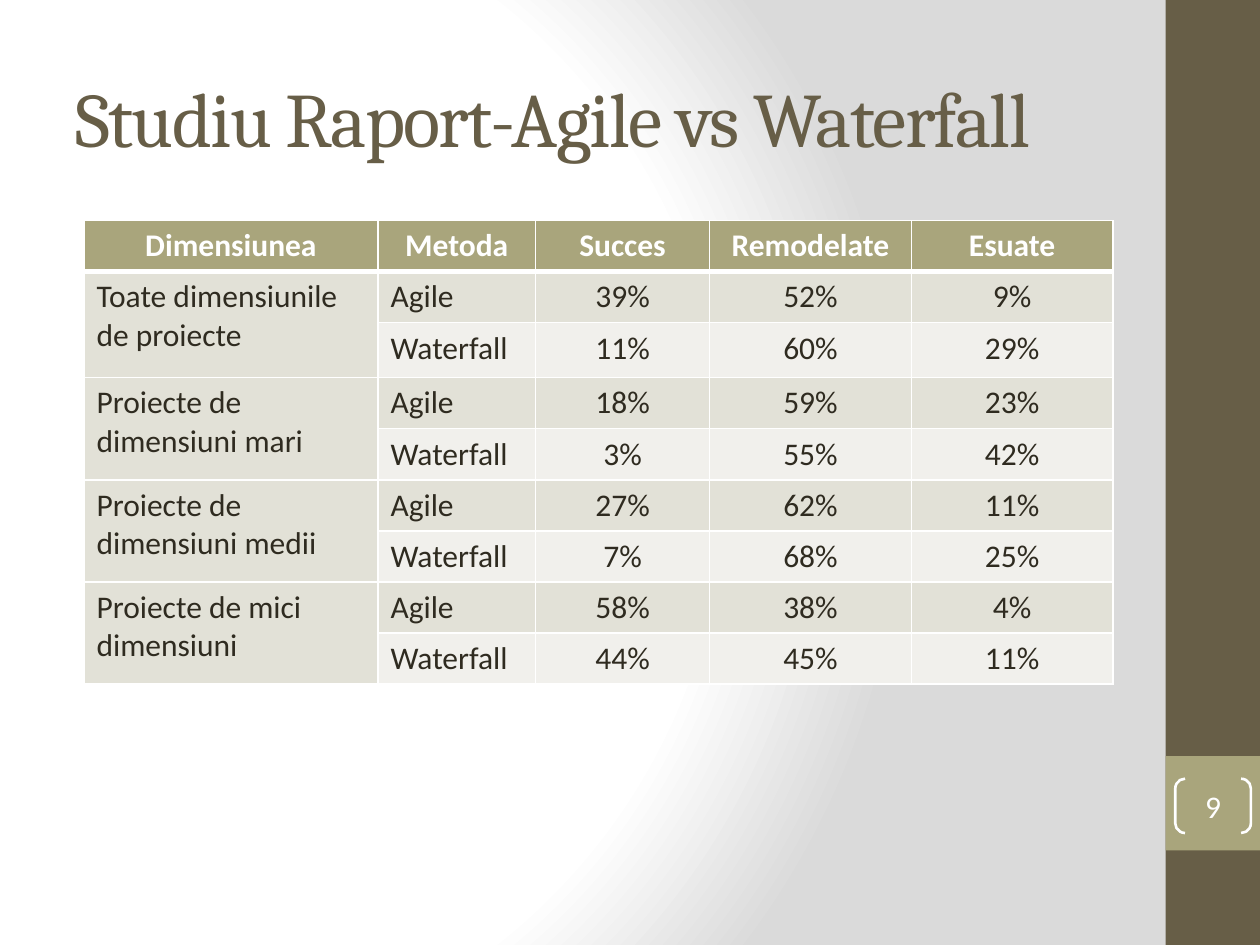
import pptx
import pptx.dml.color
import pptx.enum.shapes
import pptx.enum.text
import pptx.oxml
import pptx.oxml.ns
import pptx.util

Pt = pptx.util.Pt
RGB = pptx.dml.color.RGBColor
SHAPE = pptx.enum.shapes.MSO_SHAPE
ALIGN = pptx.enum.text.PP_ALIGN
MIDDLE = pptx.enum.text.MSO_ANCHOR.MIDDLE
NS = pptx.oxml.ns.nsdecls("a")

BROWN = RGB(0x67, 0x5E, 0x47)
OLIVE = RGB(0xA9, 0xA5, 0x7C)
WHITE = RGB(0xFF, 0xFF, 0xFF)
DARK = RGB(0x2F, 0x2B, 0x20)
BAND = RGB(0xE2, 0xE1, 0xD7)
PALE = RGB(0xF1, 0xF0, 0xEC)
GREY = RGB(0xDA, 0xDA, 0xDA)


def write(frame, text, size, face, color, align=ALIGN.LEFT, bold=False):
    para = frame.paragraphs[0]
    para.alignment = align
    run = para.add_run()
    run.text = text
    run.font.size = Pt(size)
    run.font.name = face
    run.font.bold = bold
    run.font.color.rgb = color
    return run


def edge(cell, low):
    props = cell._tc.get_or_add_tcPr()
    for i, (side, width) in enumerate(zip("LRTB", (1, 1, 1, low))):
        props.insert(i, pptx.oxml.parse_xml(
            f'<a:ln{side} {NS} w="{Pt(width)}"><a:solidFill>'
            f'<a:srgbClr val="{WHITE}"/></a:solidFill></a:ln{side}>'))


deck = pptx.Presentation()
deck.slide_width, deck.slide_height = Pt(720), Pt(540)
slide = deck.slides.add_slide(deck.slide_layouts[6])
shapes = slide.shapes

slide.background.fill.solid()
solid = next(slide._element.iter(pptx.oxml.ns.qn("a:solidFill")))
stops = "".join(
    f'<a:gs pos="{pos * 1000}"><a:srgbClr val="{color}"/></a:gs>'
    for pos, color in ((0, WHITE), (75, WHITE), (100, GREY)))
solid.getparent().replace(solid, pptx.oxml.parse_xml(
    f'<a:gradFill {NS} rotWithShape="1"><a:gsLst>{stops}</a:gsLst>'
    '<a:path path="circle"><a:fillToRect l="20000" t="50000" r="100000" b="50000"/>'
    '</a:path></a:gradFill>'))

for top, height, color in ((0, 540, BROWN), (432, 54, OLIVE)):
    bar = shapes.add_shape(SHAPE.RECTANGLE, Pt(666), Pt(top), Pt(54), Pt(height))
    bar.shadow.inherit = False
    bar.fill.solid()
    bar.fill.fore_color.rgb = color
    bar.line.fill.background()

title = shapes.add_textbox(Pt(36), Pt(21.6), Pt(600), Pt(90)).text_frame
title.word_wrap = True
title.vertical_anchor = MIDDLE
run = write(title, "Studiu Raport-Agile vs Waterfall", 44, "Cambria", BROWN)
run.font._element.set("spc", "-100")

heads = ("Dimensiunea", "Metoda", "Succes", "Remodelate", "Esuate")
groups = (
    ("Toate dimensiunile de proiecte", ("39%", "52%", "9%"), ("11%", "60%", "29%")),
    ("Proiecte de dimensiuni mari", ("18%", "59%", "23%"), ("3%", "55%", "42%")),
    ("Proiecte de dimensiuni medii", ("27%", "62%", "11%"), ("7%", "68%", "25%")),
    ("Proiecte de mici dimensiuni", ("58%", "38%", "4%"), ("44%", "45%", "11%")),
)
rows = [heads]
for name, agile, water in groups:
    rows += [(name, "Agile", *agile), ("", "Waterfall", *water)]

table = shapes.add_table(
    len(rows), len(heads), Pt(48), Pt(126), Pt(588), Pt(265)).table
for col, width in zip(table.columns, (168, 90, 99.6, 115.2, 115.2)):
    col.width = Pt(width)
for r, row in enumerate(rows):
    table.rows[r].height = Pt(31.4 if r == 2 else 29.2)
    for c, text in enumerate(row):
        cell = table.cell(r, c)
        head = r == 0
        cell.fill.solid()
        cell.fill.fore_color.rgb = OLIVE if head else BAND if r % 2 or c == 0 else PALE
        edge(cell, 3 if head else 1)
        if text:
            align = ALIGN.CENTER if head or c > 1 else ALIGN.LEFT
            write(cell.text_frame, text, 18, "Calibri",
                  WHITE if head else DARK, align, head)
for r in range(1, len(rows), 2):
    table.cell(r, 0).merge(table.cell(r + 1, 0))

badge = shapes.add_shape(SHAPE.DOUBLE_BRACKET, Pt(671.6), Pt(445), Pt(43.2), Pt(31))
badge.shadow.inherit = False
badge.adjustments[0] = 0.18
badge.fill.background()
badge.line.color.rgb = WHITE
badge.line.width = Pt(1.5)
frame = badge.text_frame
frame.margin_left = frame.margin_right = frame.margin_top = frame.margin_bottom = 0
frame.vertical_anchor = MIDDLE
write(frame, "9", 18, "Calibri", WHITE, ALIGN.CENTER)

deck.save("out.pptx")
